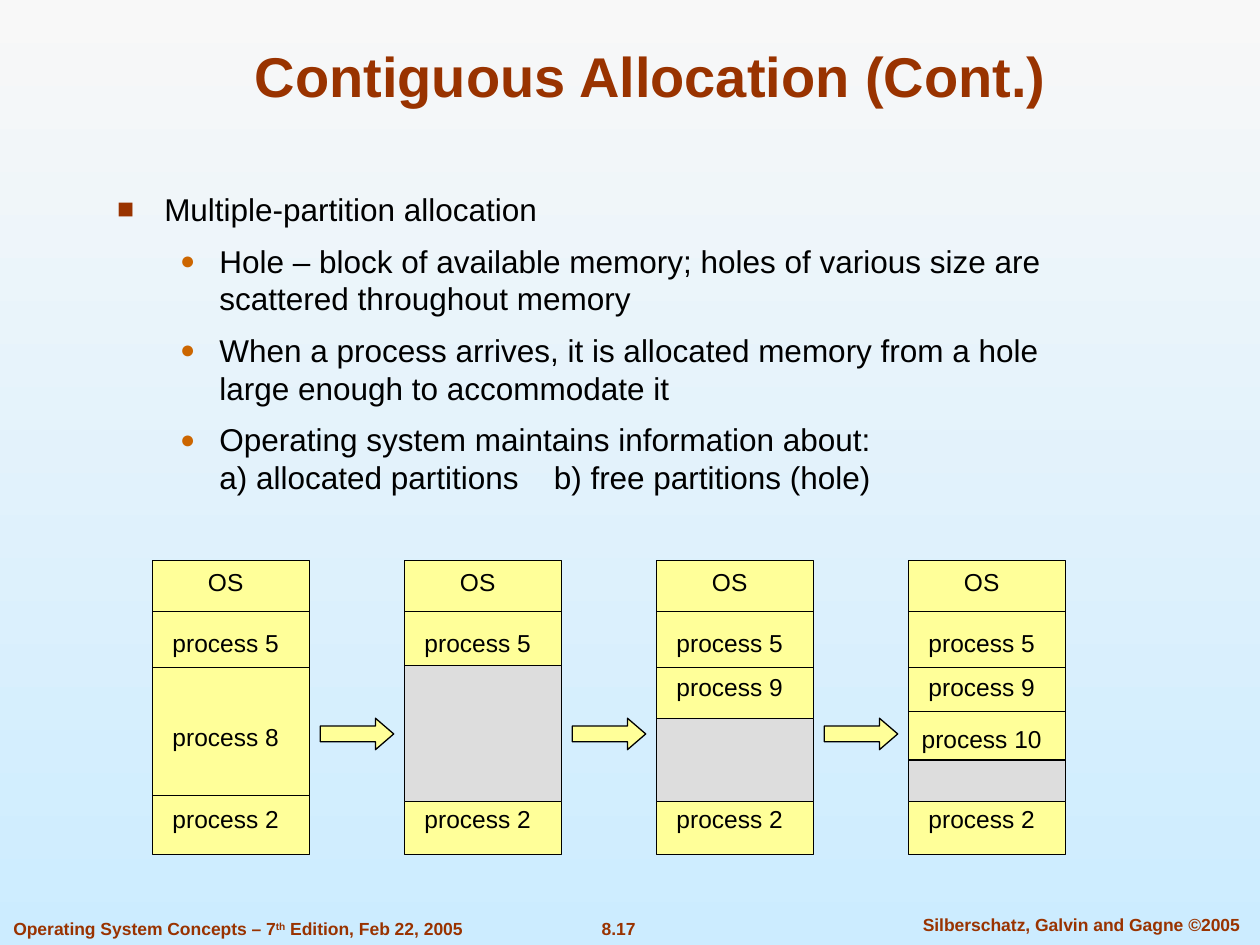
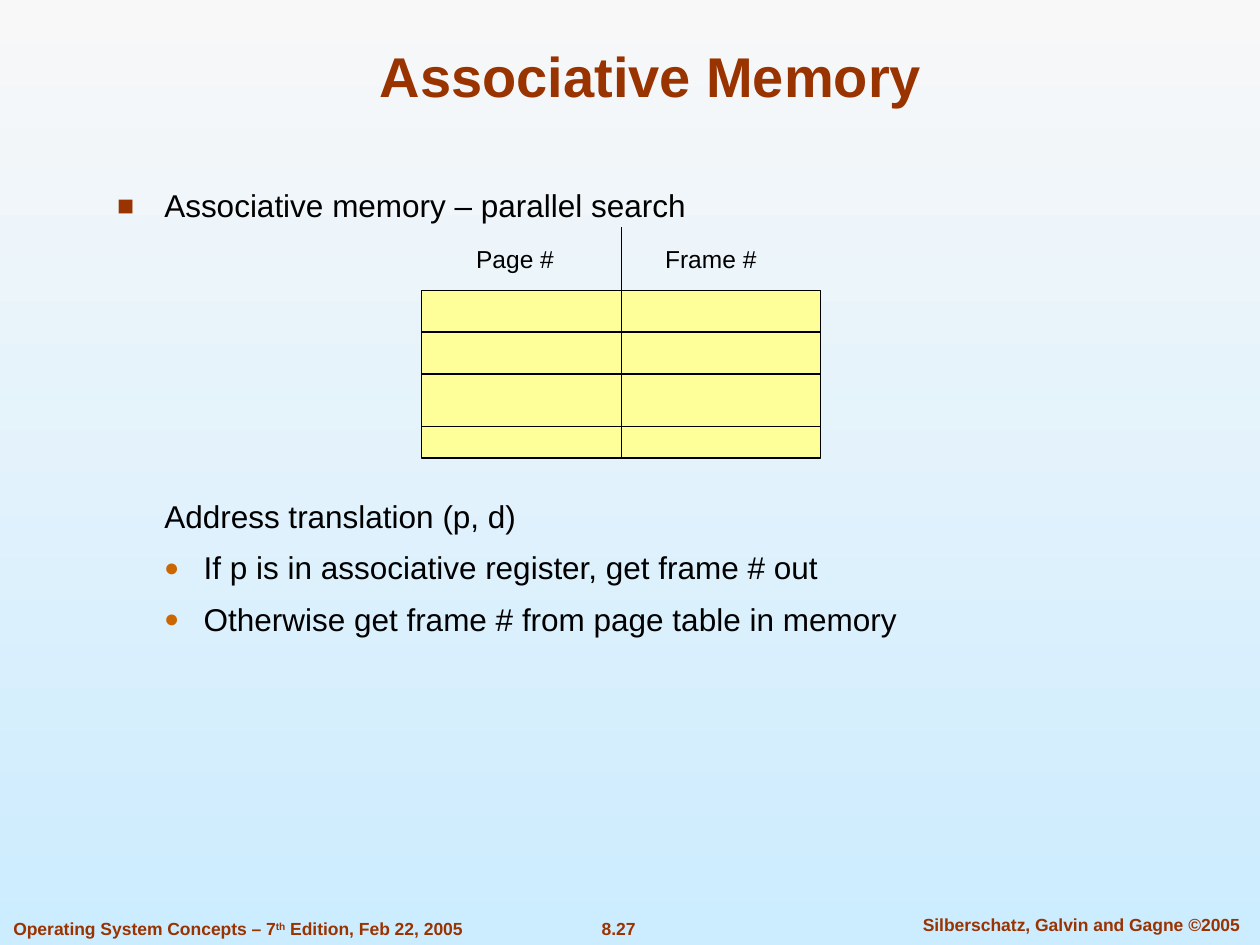
from lxml import etree
from pptx import Presentation
from pptx import util as u
from pptx.dml import color
from pptx.enum import shapes, text
from pptx.oxml import ns

Pt = u.Pt
FONT = "Arial"
COLORS = {
    "sky_top": "F8F8F8",
    "sky_bottom": "CCECFF",
    "rust": "993300",
    "orange": "CC6600",
    "ink": "000000",
    "used": "FFFF99",
    "hole": "DDDDDD",
}
LINE_WIDTH = 0.75

# Bullet styles: left margin, hanging indent, level, character, colour, size in percent
MAIN = (27, 27, 0, "■", "rust", 90)
SUB = (58.5, 22.5, 1, "●", "orange", 80)
SUB_NEAR = (49.5, 22.5, 1, "●", "orange", 80)
PLAIN = (27, 0, 0, None, None, None)


def rgb(name):
    return color.RGBColor.from_string(COLORS[name])


def format_runs(paragraph, size, color_name="ink", bold=False):
    for run in paragraph.runs:
        run.font.name = FONT
        run.font.size = Pt(size)
        run.font.bold = bold
        run.font.color.rgb = rgb(color_name)


def add_text(slide, box, words, size, color_name="ink", bold=False,
             align=text.PP_ALIGN.CENTER, anchor=text.MSO_ANCHOR.TOP):
    """Add one line of text; a list of words becomes a list of runs."""
    frame = slide.shapes.add_textbox(*map(Pt, box)).text_frame
    frame.word_wrap = True
    frame.vertical_anchor = anchor
    paragraph = frame.paragraphs[0]
    paragraph.alignment = align
    for part in [words] if isinstance(words, str) else words:
        paragraph.add_run().text = part
    format_runs(paragraph, size, color_name, bold)
    return paragraph


def add_block(slide, kind, box, fill):
    shape = slide.shapes.add_shape(kind, *map(Pt, box))
    shape.shadow.inherit = False
    shape.fill.solid()
    shape.fill.fore_color.rgb = rgb(fill)
    shape.line.color.rgb = rgb("ink")
    shape.line.width = Pt(LINE_WIDTH)
    return shape


def add_line(slide, x1, y1, x2, y2):
    line = slide.shapes.add_connector(
        shapes.MSO_CONNECTOR.STRAIGHT, Pt(x1), Pt(y1), Pt(x2), Pt(y2))
    line.line.color.rgb = rgb("ink")
    line.line.width = Pt(LINE_WIDTH)
    etree.SubElement(line._element.spPr, ns.qn("a:effectLst"))
    return line


def set_bullet(paragraph, style):
    margin, hanging, level, character, color_name, percent = style
    paragraph.level = level
    properties = paragraph._p.get_or_add_pPr()
    properties.set("marL", str(Pt(margin)))
    properties.set("indent", str(-Pt(hanging)))
    if character is None:
        etree.SubElement(properties, ns.qn("a:buNone"))
        return
    bullet_color = etree.SubElement(properties, ns.qn("a:buClr"))
    etree.SubElement(bullet_color, ns.qn("a:srgbClr"), val=COLORS[color_name])
    etree.SubElement(properties, ns.qn("a:buSzPct"), val=str(percent * 1000))
    etree.SubElement(properties, ns.qn("a:buFont"), typeface=FONT)
    etree.SubElement(properties, ns.qn("a:buChar"), char=character)


def add_body(slide, box, items):
    """Add bulleted text; items hold a style, the words and the space before."""
    frame = slide.shapes.add_textbox(*map(Pt, box)).text_frame
    frame.word_wrap = True
    for index, (style, words, space) in enumerate(items):
        paragraph = frame.add_paragraph() if index else frame.paragraphs[0]
        paragraph.text = words
        set_bullet(paragraph, style)
        paragraph.space_before = Pt(space)
        format_runs(paragraph, 18)
    return frame


def add_footer(slide, number):
    style = {"size": 10, "color_name": "rust", "bold": True}
    add_text(slide, (318.2, 521, 70.5, 19), number, **style)
    add_text(slide, (511, 518.8, 213.8, 19),
             "Silberschatz, Galvin and Gagne ©2005", **style)
    edition = add_text(
        slide, (0.5, 521, 300, 19),
        ["Operating System Concepts – 7", "th", " Edition, Feb 22, 2005"],
        align=text.PP_ALIGN.LEFT, **style)
    edition.runs[1].font._element.set("baseline", "30000")


def add_slide(presentation, heading, number):
    slide = presentation.slides.add_slide(presentation.slide_layouts[5])
    add_footer(slide, number)
    title = slide.shapes.title
    title.left, title.top, title.width, title.height = map(
        Pt, (54, 17.6, 635.8, 48.2))
    frame = title.text_frame
    frame.text = heading
    frame.auto_size = text.MSO_AUTO_SIZE.NONE
    frame.vertical_anchor = text.MSO_ANCHOR.BOTTOM
    frame.paragraphs[0].alignment = text.PP_ALIGN.CENTER
    format_runs(frame.paragraphs[0], 32, "rust", True)
    return slide


def add_memory(slide, box, dividers, hole_top, labels):
    """Draw one memory map; all offsets are measured from the top of the box."""
    left, top, width, height = box
    hole_bottom = 137.8
    rectangle = shapes.MSO_SHAPE.RECTANGLE
    add_block(slide, rectangle, box, "used")
    for offset in dividers:
        add_line(slide, left, top + offset, left + width, top + offset)
    if hole_top is not None:
        add_block(slide, rectangle,
                  (left, top + hole_top, width, hole_bottom - hole_top), "hole")
    for label, offset in labels.items():
        add_text(slide, (left, top + offset, width - 6, 24.3), label, 14,
                 anchor=text.MSO_ANCHOR.MIDDLE)


def add_memory_sequence(slide, left, top):
    width, height, pitch = 90, 168, 144
    ends = {"OS": 0, "process 5": 34.6, "process 2": 135.4}
    with_9 = ends | {"process 9": 59.8}
    stages = [
        ([29, 61.2, 134], None, ends | {"process 8": 88.6}),
        ([29], 60, ends),
        ([29, 61.2], 90, with_9),
        ([29, 61.2, 86.4], 113.8, with_9 | {"process 10": 89.6}),
    ]
    for index, stage in enumerate(stages):
        stage_left = left + index * pitch
        add_memory(slide, (stage_left, top, width, height), *stage)
        if index:
            arrow = add_block(slide, shapes.MSO_SHAPE.RIGHT_ARROW,
                              (stage_left - 48, top + 90, 42, 18), "used")
            arrow.adjustments[0] = 0.5
            arrow.adjustments[1] = 0.58


def add_associative_registers(slide, left, top, width, height):
    right, middle = left + width, left + width / 2
    registers = add_block(slide, shapes.MSO_SHAPE.RECTANGLE,
                          (left, top, width, height), "used")
    column_line = add_line(slide, middle, top - 36, middle, top + height)
    column_line.end_connect(registers, 2)
    for offset in (24, 78):
        add_line(slide, left, top + offset, right, top + offset)
    center_line = add_line(slide, left, top + height / 2,
                           right, top + height / 2)
    center_line.begin_connect(registers, 1)
    center_line.end_connect(registers, 3)
    for label, offset in (("Page #", 24), ("Frame #", 132)):
        add_text(slide, (left + offset, top - 30, 102, 24), label, 14,
                 align=text.PP_ALIGN.LEFT, anchor=text.MSO_ANCHOR.MIDDLE)


def build_contiguous_allocation(presentation):
    slide = add_slide(presentation, "Contiguous Allocation (Cont.)", "8.17")
    frame = add_body(slide, (59.8, 105, 578.9, 205.2), [
        (MAIN, "Multiple-partition allocation", 0),
        (SUB, "Hole – block of available memory; holes of various size are "
              "scattered throughout memory", 7.9),
        (SUB, "When a process arrives, it is allocated memory from a hole "
              "large enough to accommodate it", 7.9),
        (SUB, "Operating system maintains information about:\v"
              "a) allocated partitions", 7.9),
    ])
    partitions = frame.paragraphs[-1]
    gap = partitions.add_run()
    gap.text = " "
    gap.font._element.set("spc", "1500")
    partitions.add_run().text = "b) free partitions (hole)"
    format_runs(partitions, 18)
    add_memory_sequence(slide, 87, 320.4)


def build_associative_memory(presentation):
    slide = add_slide(presentation, "Associative Memory", "8.27")
    add_body(slide, (59.8, 103, 578.9, 352.8), [
        (MAIN, "Associative memory – parallel search", 0),
        (PLAIN, "Address translation (p, d)", 155.8),
        (SUB_NEAR, "If p is in associative register, get frame # out", 7.9),
        (SUB_NEAR, "Otherwise get frame # from page table in memory", 7.9),
    ])
    add_associative_registers(slide, 241, 165.8, 228, 96)


def set_background(presentation):
    fill = presentation.slide_master.background.fill
    fill.gradient()
    fill.gradient_angle = 270
    for stop, name, position in zip(
            fill.gradient_stops, ("sky_top", "sky_bottom"), (0, 1)):
        stop.color.rgb = rgb(name)
        stop.position = position


def main():
    presentation = Presentation()
    presentation.slide_width, presentation.slide_height = Pt(720), Pt(540)
    set_background(presentation)
    build_contiguous_allocation(presentation)
    build_associative_memory(presentation)
    presentation.save("out.pptx")


if __name__ == "__main__":
    main()
